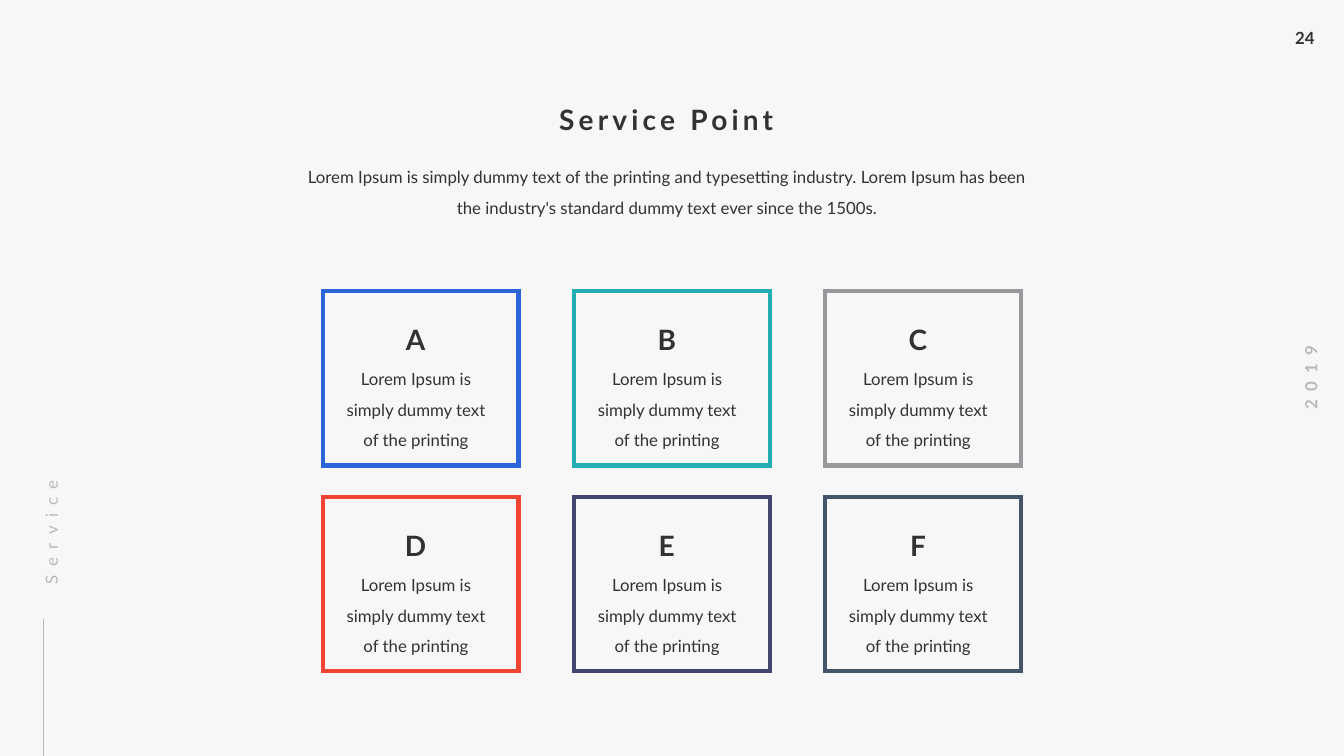
"""Build the Service Point slide with its six lettered cards."""
import pptx
import pptx.util
import pptx.dml.color
import pptx.enum.text
import pptx.enum.shapes
import pptx.oxml.xmlchemy
from dataclasses import dataclass

Cm = pptx.util.Cm
Pt = pptx.util.Pt
Align = pptx.enum.text.PP_ALIGN
Kind = pptx.enum.shapes.MSO_SHAPE
Node = pptx.oxml.xmlchemy.OxmlElement

TITLE = "Service Point"
INTRO = ("Lorem Ipsum is simply dummy text of the printing and typesetting industry. "
         "Lorem Ipsum has been the industry's standard dummy text ever since the 1500s.")
NOTE = "Lorem Ipsum is simply dummy text of the printing"
CARDS = [
    ("A", "2C65D8"), ("B", "25AEB1"), ("C", "99999D"),
    ("D", "F24432"), ("E", "42456C"), ("F", "445469"),
]
PAGE = "24"
YEAR = "2019"
PART = "Service"


@dataclass(frozen=True)
class Theme:
    """Colours, font and type sizes of the slide."""
    back: str = "F7F7F7"
    ink: str = "323232"
    pale: str = "B9B9B9"
    face: str = "Lato"
    head: int = 20
    text: int = 12
    wide: int = 6
    loose: int = 3
    frame: float = 3
    rule: float = 0.5


THEME = Theme()
COLS = 3
LEFT, TOP = 8.14, 7.34
STEP_X, STEP_Y = 6.33, 5.19
CARD_W, CARD_H = 4.93, 4.39
TIGHT = (0, 0, 0.25, 0)
ROOMY = (0.25, 0.13, 0.25, 0.13)


def color(code):
    """Return the colour for a hex code."""
    return pptx.dml.color.RGBColor.from_string(code)


def write(shape, text, size=THEME.text, ink=THEME.ink, bold=False, track=0,
          align=Align.CENTER, lead=1.0, pad=TIGHT, wrap=True):
    """Fill a shape with one styled paragraph."""
    frame = shape.text_frame
    frame.word_wrap = wrap
    frame.auto_size = pptx.enum.text.MSO_AUTO_SIZE.NONE
    frame.vertical_anchor = pptx.enum.text.MSO_ANCHOR.TOP
    (frame.margin_left, frame.margin_top,
     frame.margin_right, frame.margin_bottom) = map(Cm, pad)
    frame.text = text
    para = frame.paragraphs[0]
    para.alignment = align
    para.line_spacing = lead
    font = para.font
    font.name, font.size, font.bold = THEME.face, Pt(size), bold
    font.color.rgb = color(ink)
    if track:
        font._rPr.set("spc", str(track * 100))


def label(slide, box, text, turn=0, **style):
    """Add a text box, turned if asked."""
    shape = slide.shapes.add_textbox(*map(Cm, box))
    shape.rotation = turn
    write(shape, text, **style)


def card(slide, index, letter, tint):
    """Add one framed card at its place in the grid."""
    row, col = divmod(index, COLS)
    x, y = LEFT + col * STEP_X, TOP + row * STEP_Y
    box = slide.shapes.add_shape(Kind.RECTANGLE, *map(Cm, (x, y, CARD_W, CARD_H)))
    box.shadow.inherit = False
    box.fill.background()
    box.line.color.rgb = color(tint)
    box.line.width = Pt(THEME.frame)
    box.line._get_or_add_ln().append(Node("a:miter"))
    label(slide, (x + 0.45, y + 1.71, 4.04, 2.21), NOTE, lead=1.5)
    label(slide, (x + 0.67, y + 0.36, 3.58, 1.12), letter, size=THEME.head,
          bold=True, track=THEME.loose, lead=1.5)


def margin(slide):
    """Add the page number, year and section name at the edges."""
    label(slide, (32.39, 0.56, 1.04, 0.76), PAGE, bold=True,
          align=Align.LEFT, pad=ROOMY, wrap=False)
    label(slide, (31.85, 9.14, 2.36, 0.76), YEAR, turn=270, ink=THEME.pale,
          bold=True, track=THEME.wide, pad=ROOMY, wrap=False)
    label(slide, (-1.24, 12.04, 4.7, 0.66), PART, turn=270, ink=THEME.pale,
          track=THEME.wide, align=Align.LEFT, lead=1.5)
    rule = slide.shapes.add_connector(pptx.enum.shapes.MSO_CONNECTOR.STRAIGHT,
                                      *map(Cm, (1.09, 19.05, 1.09, 15.6)))
    rule.line.color.rgb = color(THEME.pale)
    rule.line.width = Pt(THEME.rule)
    rule._element.spPr.append(Node("a:effectLst"))


def main():
    """Build and save the deck."""
    deck = pptx.Presentation()
    deck.slide_width, deck.slide_height = Cm(33.87), Cm(19.05)
    slide = deck.slides.add_slide(deck.slide_layouts[5])
    slide.background.fill.solid()
    slide.background.fill.fore_color.rgb = color(THEME.back)
    title = slide.shapes.title
    title.left, title.top, title.width, title.height = map(Cm, (12.47, 2.59, 8.89, 0.86))
    write(title, TITLE, size=THEME.head, bold=True, track=THEME.loose)
    label(slide, (7.62, 3.96, 18.64, 1.45), INTRO, lead=1.5)
    margin(slide)
    for index, (letter, tint) in enumerate(CARDS):
        card(slide, index, letter, tint)
    deck.save("out.pptx")


if __name__ == "__main__":
    main()
